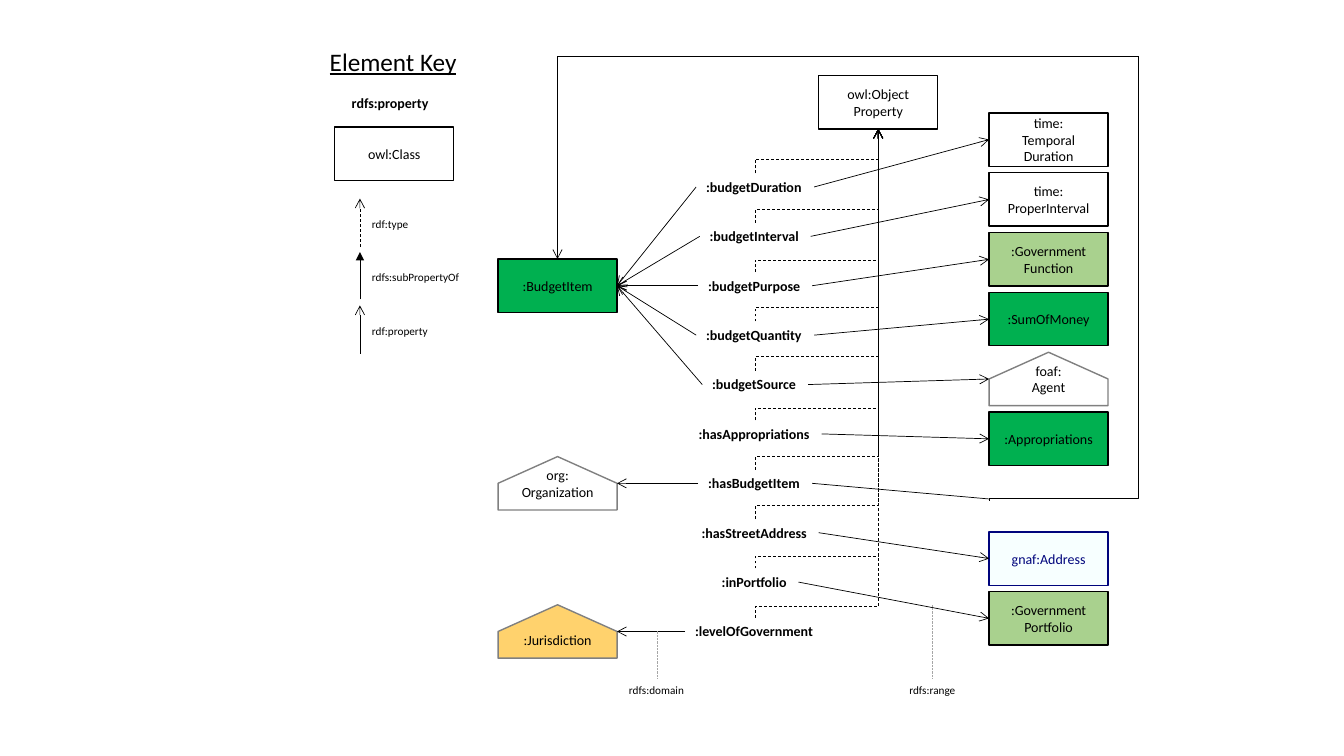
from dataclasses import dataclass
from typing import Optional

from pptx import Presentation
from pptx.dml.color import RGBColor
from pptx.enum.dml import MSO_LINE
from pptx.enum.shapes import MSO_CONNECTOR, MSO_SHAPE
from pptx.enum.text import MSO_ANCHOR, MSO_AUTO_SIZE, PP_ALIGN
from pptx.oxml.ns import qn
from pptx.util import Inches, Pt
from lxml.etree import SubElement


@dataclass(frozen=True)
class Theme:
    font: str = "Calibri"
    title: int = 18
    body: int = 10
    small: int = 8
    box_line: float = 1
    arrow_line: float = 0.5
    black: str = "000000"
    white: str = "FFFFFF"
    green: str = "00B050"
    pale_green: str = "A9D18E"
    amber: str = "FFD26D"
    ice: str = "F7FFFF"
    navy: str = "00047C"
    grey: str = "808080"
    pale_grey: str = "A6A6A6"


T = Theme()
BOX_W, BOX_H = 1.18, 0.53
LABEL_H, SMALL_H = 0.27, 0.24
DOMAIN_X, LABEL_X, RANGE_X = 4.94, 7.49, 9.81
LABEL_TOP, LABEL_STEP = 1.72, 0.49
RANGE_TOP, RANGE_STEP = 1.12, 4.75 / 8
LOOP_X, LOOP_Y = 11.29, 0.56


@dataclass(frozen=True)
class ClassBox:
    text: str
    fill: Optional[str] = T.white
    line: str = T.black
    ink: str = T.black
    roofed: bool = False
    margin_top: float = 0


@dataclass(frozen=True)
class Property:
    name: str
    width: float
    bend: float
    domain: Optional[str] = None
    range: Optional[ClassBox] = None


@dataclass(frozen=True)
class KeyArrow:
    text: str
    width: float
    bottom: float
    top: float
    tail: str
    dash: Optional[MSO_LINE] = None


BUDGET, ORG, JURISDICTION = ":BudgetItem", "org:\nOrganization", ":Jurisdiction"
DOMAINS = [
    (2.57, ClassBox(BUDGET, T.green)),
    (4.53, ClassBox(ORG, None, T.grey, roofed=True)),
    (6.0, ClassBox(JURISDICTION, T.amber, T.grey, roofed=True, margin_top=0.17)),
]
PROPERTIES = [
    Property(":budgetDuration", 1.17, 1.58, BUDGET, ClassBox("time:\nTemporal\nDuration")),
    Property(":budgetInterval", 1.1, 2.08, BUDGET, ClassBox("time:\nProperInterval")),
    Property(":budgetPurpose", 1.13, 2.58, BUDGET, ClassBox(":Government\nFunction", T.pale_green)),
    Property(":budgetQuantity", 1.17, 3.05, BUDGET, ClassBox(":SumOfMoney", T.green)),
    Property(":budgetSource", 1.05, 3.54, BUDGET, ClassBox("foaf:\nAgent", None, T.grey, roofed=True)),
    Property(":hasAppropriations", 1.32, 4.05, None, ClassBox(":Appropriations", T.green)),
    Property(":hasBudgetItem", 1.13, 4.53, ORG),
    Property(":hasStreetAddress", 1.26, 5.02, None, ClassBox("gnaf:Address", T.ice, T.navy, T.navy)),
    Property(":inPortfolio", 0.86, 5.52, None, ClassBox(":Government\nPortfolio", T.pale_green)),
    Property(":levelOfGovernment", 1.39, 6.02, JURISDICTION),
]
KEY_ARROWS = [
    KeyArrow("rdf:type", 0.57, 2.45, 1.97, "arrow", MSO_LINE.DASH),
    KeyArrow("rdfs:subPropertyOf", 1.08, 2.97, 2.5, "triangle"),
    KeyArrow("rdf:property", 0.76, 3.51, 3.03, "arrow"),
]


def set_all(obj, values: dict) -> None:
    for name, value in values.items():
        setattr(obj, name, value)


def write(tf, text: str, size: int, ink: str = T.black, align=PP_ALIGN.LEFT, **font) -> None:
    tf.text = text
    for p in tf.paragraphs:
        p.alignment = align
        for r in p.runs:
            set_all(r.font, {"name": T.font, "size": Pt(size), **font})
            r.font.color.rgb = RGBColor.from_string(ink)


def fit_text(tf) -> None:
    set_all(tf, {"word_wrap": False, "auto_size": MSO_AUTO_SIZE.SHAPE_TO_FIT_TEXT,
                 "vertical_anchor": MSO_ANCHOR.TOP})


def label(s, text: str, x: float, y: float, w: float, h: float, size: int, **font):
    sp = s.shapes.add_textbox(Inches(x), Inches(y), Inches(w), Inches(h))
    fit_text(sp.text_frame)
    write(sp.text_frame, text, size, **font)
    return sp


def class_box(s, box: ClassBox, x: float, y: float):
    if box.roofed:
        eaves, right, bottom = y + BOX_H / 2, x + BOX_W, y + BOX_H
        outline = [(right, eaves), (right, bottom), (x, bottom), (x, eaves)]
        builder = s.shapes.build_freeform(Inches(x + BOX_W / 2), Inches(y))
        builder.add_line_segments([(Inches(px), Inches(py)) for px, py in outline])
        sp = builder.convert_to_shape()
    else:
        sp = s.shapes.add_shape(MSO_SHAPE.RECTANGLE, Inches(x), Inches(y), Inches(BOX_W), Inches(BOX_H))
    sp.shadow.inherit = False
    if box.fill:
        sp.fill.solid()
        sp.fill.fore_color.rgb = RGBColor.from_string(box.fill)
    else:
        sp.fill.background()
    sp.line.color.rgb = RGBColor.from_string(box.line)
    sp.line.width = Pt(T.box_line)
    tf = sp.text_frame
    set_all(tf, {"margin_left": 0, "margin_right": 0, "margin_top": Inches(box.margin_top),
                 "margin_bottom": 0, "word_wrap": True, "vertical_anchor": MSO_ANCHOR.MIDDLE})
    write(tf, box.text, T.body, box.ink, PP_ALIGN.CENTER)
    return sp


def connector(s, start, end, tail=None, dash=None, color=T.black, kind=MSO_CONNECTOR.STRAIGHT):
    cx = s.shapes.add_connector(kind, *(Inches(v) for v in (*start, *end)))
    cx.line.color.rgb = RGBColor.from_string(color)
    cx.line.width = Pt(T.arrow_line)
    if dash:
        cx.line.dash_style = dash
    sp_pr = cx._element.spPr
    if tail:
        SubElement(sp_pr.find(qn("a:ln")), qn("a:tailEnd"), type=tail)
    SubElement(sp_pr, qn("a:effectLst"))
    return cx


def vertical_elbow(s, start, end, bend_y: float, **style) -> None:
    """Leave start vertically, cross at bend_y, and reach end vertically."""
    (x1, y1), (x2, y2) = start, end
    mid_x, mid_y, dx, dy = (x1 + x2) / 2, (y1 + y2) / 2, x2 - x1, y2 - y1
    cx = connector(s, (mid_x - dy / 2, mid_y + dx / 2), (mid_x + dy / 2, mid_y - dx / 2),
                   kind=MSO_CONNECTOR.ELBOW, **style)
    sp_pr = cx._element.spPr
    sp_pr.find(qn("a:xfrm")).set("rot", str(90 * 60000))
    guides = sp_pr.find(qn("a:prstGeom")).find(qn("a:avLst"))
    SubElement(guides, qn("a:gd"), name="adj1", fmla=f"val {round((bend_y - y1) / dy * 100000)}")


def draw_key(s) -> None:
    title = s.shapes.title
    set_all(title, {"left": Inches(3.17), "top": Inches(0.41), "width": Inches(1.47), "height": Inches(0.4)})
    fit_text(title.text_frame)
    write(title.text_frame, "Element Key", T.title, underline=True)
    label(s, "rdfs:property", 3.39, 0.89, 0.98, LABEL_H, T.body, bold=True)
    class_box(s, ClassBox("owl:Class"), 3.32, 1.26)
    for key in KEY_ARROWS:
        connector(s, (3.57, key.bottom), (3.57, key.top), key.tail, key.dash)
        label(s, key.text, 3.59, (key.top + key.bottom - SMALL_H) / 2 + 0.02, key.width, SMALL_H, T.small)


def draw_properties(s) -> None:
    class_box(s, ClassBox("owl:Object\nProperty"), 8.12, 0.75)
    domains = {box.text: (box, y, class_box(s, box, DOMAIN_X, y)) for y, box in DOMAINS}
    for i, prop in enumerate(PROPERTIES):
        top = LABEL_TOP + i * LABEL_STEP
        left, middle = LABEL_X - prop.width / 2, top + LABEL_H / 2
        name = label(s, prop.name, left, top, prop.width, LABEL_H, T.body, bold=True)
        vertical_elbow(s, (LABEL_X, top), (8.71, 1.28), prop.bend, tail="arrow", dash=MSO_LINE.DASH)
        links = []
        if prop.domain:
            box, y, sp = domains[prop.domain]
            links.append(((left, middle), (DOMAIN_X + BOX_W, y + BOX_H / 2), 1, box, sp, 3))
        if prop.range:
            y = RANGE_TOP + i * RANGE_STEP
            sp = class_box(s, prop.range, RANGE_X, y)
            links.append(((left + prop.width, middle), (RANGE_X, y + BOX_H / 2), 3, prop.range, sp, 1))
        for start, end, name_side, box, sp, box_side in links:
            cx = connector(s, start, end, "arrow")
            cx.begin_connect(name, name_side)
            if not box.roofed:
                cx.end_connect(sp, box_side)
        if prop.name == ":hasBudgetItem":
            connector(s, (left + prop.width, middle), (RANGE_X, 4.95)).begin_connect(name, 3)


def draw_budget_loop(s) -> None:
    vertical_elbow(s, (LOOP_X, LOOP_Y), (RANGE_X, 4.97), 4.95)
    cx = connector(s, (LOOP_X, LOOP_Y), (DOMAIN_X + BOX_W / 2, 2.57), "arrow", kind=MSO_CONNECTOR.ELBOW)
    cx._element.spPr.find(qn("a:prstGeom")).set("prst", "bentConnector2")


def main() -> None:
    prs = Presentation()
    set_all(prs, {"slide_width": Inches(13.33), "slide_height": Inches(7.5)})
    s = prs.slides.add_slide(prs.slide_layouts[5])
    draw_key(s)
    draw_properties(s)
    draw_budget_loop(s)
    for text, x, w, line_x, line_top in [("rdfs:domain", 6.14, 0.76, 6.52, 6.26),
                                         ("rdfs:range", 8.92, 0.67, 9.25, 6.0)]:
        label(s, text, x, 6.73, w, SMALL_H, T.small)
        connector(s, (line_x, 6.73), (line_x, line_top), dash=MSO_LINE.ROUND_DOT, color=T.pale_grey)
    prs.save("out.pptx")


if __name__ == "__main__":
    main()
